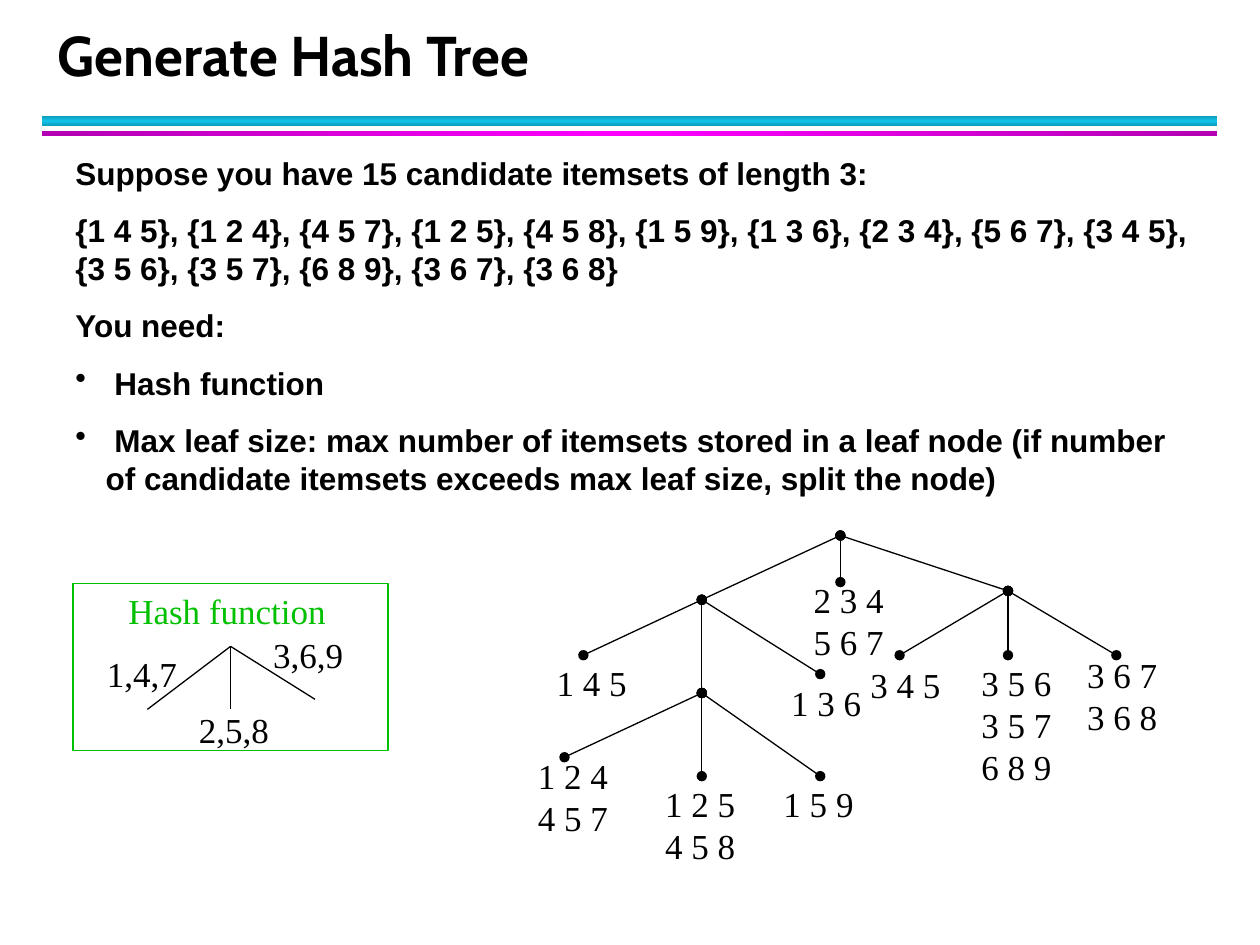
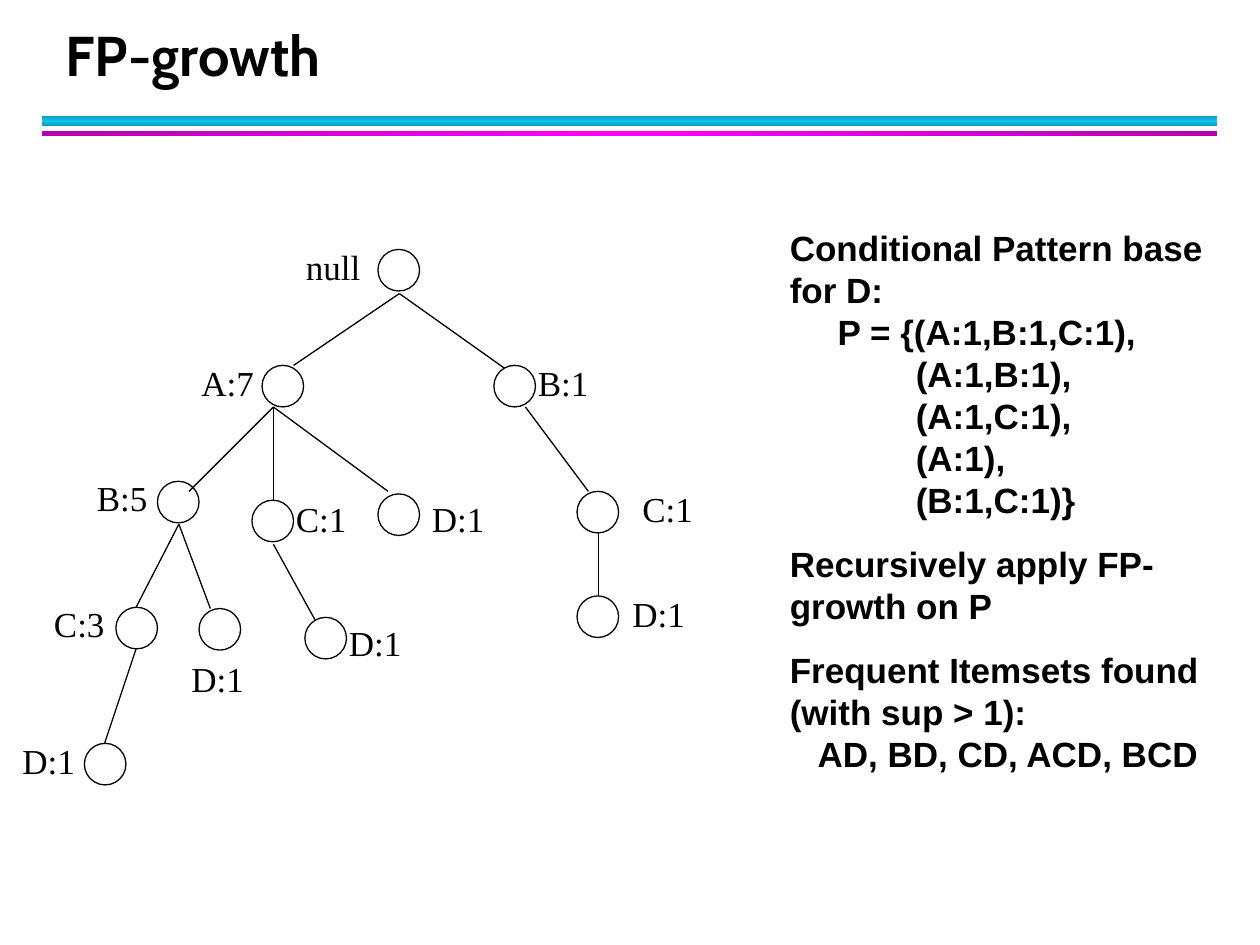
from copy import deepcopy

from lxml import etree
from pptx import Presentation
from pptx.dml.color import RGBColor
from pptx.enum.shapes import MSO_CONNECTOR, MSO_SHAPE
from pptx.enum.text import MSO_ANCHOR, PP_ALIGN
from pptx.oxml.ns import qn
from pptx.util import Inches, Pt

BLACK, GREEN = "000000", "00C000"
SERIF, SANS, TITLE_FONT = "Times New Roman", "Arial", "Cabin"
TITLES = [("Generate Hash Tree", 0.36), ("FP-growth", 0.42)]
# top, height, edge colour, middle colour, gradient angle
BANDS = [(0.92, 0.08, "0E9BBA", "12C2E9", 90), (1.04, 0.04, "B200B2", "FF00FF", 0)]
LABEL_WIDTH, LINE_HEIGHT, CIRCLE = 0.8, 0.33, 0.33


def rgb(hex_colour):
    return RGBColor.from_string(hex_colour)


def add_text(page, lines, left, top, width=LABEL_WIDTH, font=SERIF, size=20,
             bold=False, colour=BLACK):
    """Add a text box with one paragraph per line and return its paragraphs."""
    height = 0.11 + LINE_HEIGHT * len(lines)
    box = page.shapes.add_textbox(Inches(left), Inches(top), Inches(width), Inches(height))
    frame = box.text_frame
    frame.word_wrap = True
    frame.text = "\n".join(lines)
    for para in frame.paragraphs:
        para.font.name, para.font.size, para.font.bold = font, Pt(size), bold
        para.font.color.rgb = rgb(colour)
    return frame.paragraphs


def add_line(page, start, end, dots=False):
    """Add a thin black line, with a dot at both ends if wanted."""
    line = page.shapes.add_connector(
        MSO_CONNECTOR.STRAIGHT, *(Inches(value) for value in (*start, *end)))
    line.line.color.rgb = rgb(BLACK)
    line.line.width = Pt(0.75)
    properties = line._element.spPr
    if dots:
        outline = properties.find(qn("a:ln"))
        for tag in ("a:headEnd", "a:tailEnd"):
            etree.SubElement(outline, qn(tag), type="oval")
    etree.SubElement(properties, qn("a:effectLst"))


deck = Presentation()
deck.slide_width, deck.slide_height = Inches(10), Inches(7.5)

# Title and bands on every slide
for title_text, title_left in TITLES:
    page = deck.slides.add_slide(deck.slide_layouts[5])
    for top, height, edge, middle, angle in BANDS:
        band = page.shapes.add_shape(
            MSO_SHAPE.RECTANGLE, Inches(0.33), Inches(top), Inches(9.33), Inches(height))
        band.shadow.inherit = False
        band.line.fill.background()
        band.fill.gradient()
        band.fill.gradient_angle = angle
        stop_list = band._element.spPr.find(".//" + qn("a:gsLst"))
        stop_list.append(deepcopy(stop_list[0]))
        for stop, place, colour in zip(
                band.fill.gradient_stops, (0, 0.5, 1), (edge, middle, edge)):
            stop.position = place
            stop.color.rgb = rgb(colour)

    title = page.shapes.title
    title.left, title.top = Inches(title_left), Inches(0.17)
    title.width, title.height = Inches(9.06), Inches(0.58)
    title.text_frame.text = title_text
    title.text_frame.vertical_anchor = MSO_ANCHOR.BOTTOM
    para = title.text_frame.paragraphs[0]
    para.alignment = PP_ALIGN.LEFT
    para.line_spacing = Pt(36)
    para.font.name, para.font.size, para.font.bold = TITLE_FONT, Pt(32), True
    para.font.color.rgb = rgb(BLACK)

hash_page, growth_page = deck.slides

# Hash tree: each inner node and its children
root, left_node, right_node, low_node = (6.67, 4.25), (5.57, 4.76), (8, 4.69), (5.57, 5.5)
hash_tree = {
    root: [left_node, (6.67, 4.62), right_node],
    left_node: [(4.63, 5.2), low_node, (6.51, 5.35)],
    low_node: [(4.48, 6.01), (5.57, 6.16), (6.51, 6.16)],
    right_node: [(7.14, 5.2), (8, 5.2), (8.86, 5.2)],
}
for node, children in hash_tree.items():
    for child in children:
        add_line(hash_page, node, child, dots=True)

leaves = [
    (["2 3 4", "5 6 7"], 6.36, 4.54),
    (["1 4 5"], 4.32, 5.2),
    (["1 3 6"], 6.18, 5.36),
    (["1 2 4", "4 5 7"], 4.17, 5.94),
    (["1 2 5", "4 5 8"], 5.18, 6.16),
    (["1 5 9"], 6.12, 6.16),
    (["3 4 5"], 6.81, 5.22),
    (["3 5 6", "3 5 7", "6 8 9"], 7.69, 5.2),
    (["3 6 7", "3 6 8"], 8.53, 5.14),
]
for itemsets, left, top in leaves:
    add_text(hash_page, itemsets, left, top)

# Hash function key
for end in [(1.17, 5.63), (1.83, 5.63), (2.5, 5.55)]:
    add_line(hash_page, (1.83, 5.13), end)
for bucket, left, top in [("1,4,7", 0.75, 5.13), ("2,5,8", 1.48, 5.57), ("3,6,9", 2.07, 4.98)]:
    add_text(hash_page, [bucket], left, top)
add_text(hash_page, ["Hash function"], 0.92, 4.63, width=1.8, colour=GREEN)
frame_box = hash_page.shapes.add_shape(
    MSO_SHAPE.RECTANGLE, Inches(0.58), Inches(4.63), Inches(2.5), Inches(1.33))
frame_box.shadow.inherit = False
frame_box.fill.background()
frame_box.line.color.rgb = rgb(GREEN)
frame_box.line.width = Pt(0.75)

needs = [
    "Suppose you have 15 candidate itemsets of length 3:",
    "{1 4 5}, {1 2 4}, {4 5 7}, {1 2 5}, {4 5 8}, {1 5 9}, {1 3 6}, {2 3 4}, {5 6 7}, "
    "{3 4 5}, {3 5 6}, {3 5 7}, {6 8 9}, {3 6 7}, {3 6 8}",
    "You need:",
    " Hash function",
    " Max leaf size: max number of itemsets stored in a leaf node (if number of "
    "candidate itemsets exceeds max leaf size, split the node)",
]
need_paras = add_text(hash_page, needs, 0.5, 1.17, width=9.08, font=SANS, size=18, bold=True)
for para in need_paras:
    para.space_before = Pt(11.2)
for para in need_paras[3:]:
    properties = para._p.get_or_add_pPr()
    properties.set("marL", str(Inches(0.24)))
    properties.set("indent", str(-Inches(0.24)))
    bullet = etree.Element(qn("a:buChar"), char="•")
    properties.find(qn("a:spcBef")).addnext(bullet)

# FP-tree: label, circle corner, label corner
tree_nodes = [
    ("null", (3, 1.98), (2.33, 1.9)),
    ("A:7", (2.08, 2.9), (1.5, 2.82)),
    ("B:1", (3.92, 2.9), (4.17, 2.82)),
    ("B:5", (1.25, 3.82), (0.67, 3.73)),
    ("C:1", (2, 3.97), (2.25, 3.9)),
    ("D:1", (3, 3.92), (3.33, 3.9)),
    ("C:1", (4.58, 3.9), (5, 3.82)),
    ("C:3", (0.92, 4.82), (0.33, 4.73)),
    ("D:1", (1.58, 4.83), (1.42, 5.17)),
    ("D:1", (2.42, 4.9), (2.67, 4.88)),
    ("D:1", (4.58, 4.73), (4.92, 4.65)),
    ("D:1", (0.67, 5.9), (0.08, 5.82)),
]
for label, corner, label_corner in tree_nodes:
    circle = growth_page.shapes.add_shape(
        MSO_SHAPE.OVAL, Inches(corner[0]), Inches(corner[1]), Inches(CIRCLE), Inches(CIRCLE))
    circle.shadow.inherit = False
    circle.fill.background()
    circle.line.color.rgb = rgb(BLACK)
    circle.line.width = Pt(0.75)
    add_text(growth_page, [label], *label_corner)

branches = {
    (3.17, 2.33): [(2.33, 2.9), (4, 2.92)],
    (2.17, 3.23): [(1.5, 3.9), (2.17, 3.98), (3.08, 3.9)],
    (4.17, 3.23): [(4.67, 3.9)],
    (4.75, 4.23): [(4.75, 4.73)],
    (2.17, 4.32): [(2.5, 4.92)],
    (1.42, 4.16): [(1.08, 4.82), (1.67, 4.83)],
    (1.08, 5.15): [(0.83, 5.9)],
}
for start, ends in branches.items():
    for end in ends:
        add_line(growth_page, start, end)

# Text, left indent in inches, space before in points
findings = [
    ("Conditional Pattern base for D:", 0, 0),
    ("P = {(A:1,B:1,C:1),", 0.38, 0),
    ("(A:1,B:1),", 1, 0),
    ("(A:1,C:1),", 1, 0),
    ("(A:1),", 1, 0),
    ("(B:1,C:1)}", 1, 0),
    ("Recursively apply FP-growth on P", 0, 12.5),
    ("Frequent Itemsets found (with sup > 1):", 0, 12.5),
    ("AD, BD, CD, ACD, BCD", 0.22, 0),
]
finding_paras = add_text(growth_page, [finding[0] for finding in findings], 6.17, 1.75,
                         width=3.67, font=SANS, bold=True)
for para, (_, indent, gap) in zip(finding_paras, findings):
    para.space_before = Pt(gap)
    para._p.get_or_add_pPr().set("marL", str(Inches(indent)))

deck.save("out.pptx")
